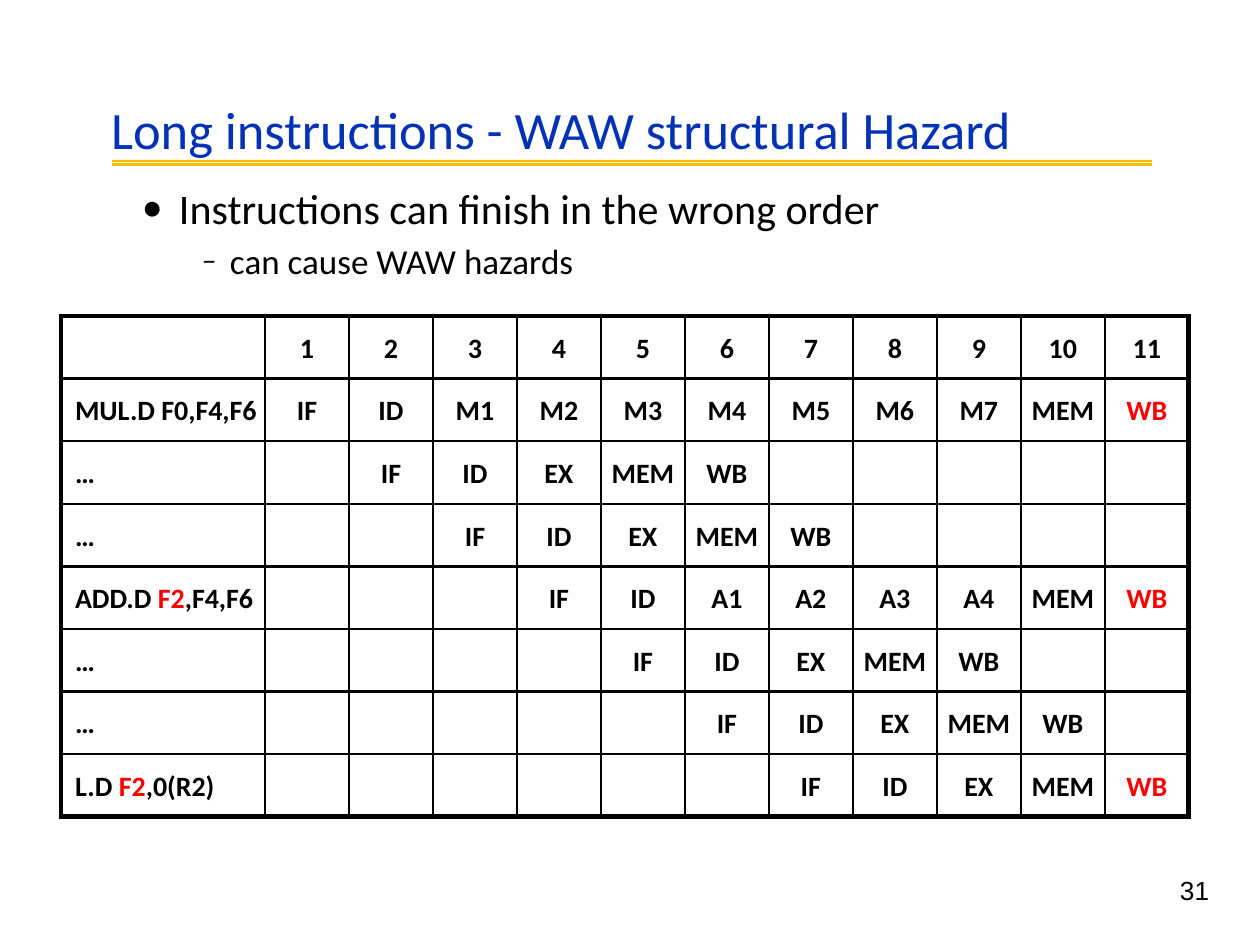
from lxml import etree
from pptx import Presentation
from pptx.dml.color import RGBColor
from pptx.enum import shapes, text
from pptx.oxml import ns
from pptx.util import Pt

PX = 914400 / 126
HUES = {"blue": "0332B7", "gold": "FBBA03", "red": "FF0000", "black": "000000"}


def px(*vals):
    return [round(v * PX) for v in vals]


def style(font, face, size, hue, bold=False):
    font.name, font.size, font.bold = face, Pt(size), bold
    font.color.rgb = RGBColor.from_string(HUES[hue])


deck = Presentation()
deck.slide_width, deck.slide_height = px(1260, 945)
slide = deck.slides.add_slide(deck.slide_layouts[1])
title, body = slide.placeholders

# Double rule under the title
for top, high in ((160, 2), (163, 3)):
    rule = slide.shapes.add_shape(shapes.MSO_SHAPE.RECTANGLE, *px(112, top, 1040, high))
    rule.shadow.inherit = False
    rule.fill.solid()
    rule.fill.fore_color.rgb = RGBColor.from_string(HUES["gold"])
    rule.line.fill.background()

# Page number
page = slide.shapes.add_textbox(*px(1180, 874, 42, 60))

# Frames of all text boxes
for box, spot, inset, anchor in (
    (title, (111, 78, 942, 83), 19, text.MSO_ANCHOR.MIDDLE),
    (body, (141, 170, 858, 112), 12, text.MSO_ANCHOR.TOP),
    (page, (1180, 874, 42, 60), 0, text.MSO_ANCHOR.TOP),
):
    box.left, box.top, box.width, box.height = px(*spot)
    frame = box.text_frame
    frame.word_wrap = True
    frame.auto_size = text.MSO_AUTO_SIZE.NONE
    frame.vertical_anchor = anchor
    frame.margin_left = frame.margin_right = frame.margin_bottom = 0
    frame.margin_top = px(inset)[0]

title.text_frame.text = "Long instructions - WAW structural Hazard"
head = title.text_frame.paragraphs[0]
head.alignment = text.PP_ALIGN.LEFT
style(head.font, "Calibri", 30, "blue")

page.text_frame.text = "31"
style(page.text_frame.paragraphs[0].font, "Arial", 15, "black")

# Bulleted list: text, size, left, hang, mark, mark size, space before
points = (
    ("Instructions can finish in the wrong order", 24, 38, 37, "•", 100, 0),
    ("can cause WAW hazards", 20, 89, 28, "–", 84, 4),
)
body.text_frame.text = "\n".join(point[0] for point in points)
for level, (para, point) in enumerate(zip(body.text_frame.paragraphs, points)):
    _, size, left, hang, mark, scale, gap = point
    para.level = level
    props = para._p.get_or_add_pPr()
    props.set("marL", str(px(left)[0]))
    props.set("indent", str(px(-hang)[0]))
    etree.SubElement(props, ns.qn("a:buSzPct"), val=str(scale * 1000))
    etree.SubElement(props, ns.qn("a:buFont"), typeface="Calibri")
    etree.SubElement(props, ns.qn("a:buChar"), char=mark)
    para.space_before = Pt(gap)
    style(para.font, "Calibri", size, "black")

# Pipeline table: each instruction starts one cycle after the last
SHORT = "IF ID EX MEM WB"
codes = (
    ("MUL.D F0,F4,F6", "IF ID M1 M2 M3 M4 M5 M6 M7 MEM WB"),
    ("…", SHORT),
    ("…", SHORT),
    ("ADD.D F2,F4,F6", "IF ID A1 A2 A3 A4 MEM WB"),
    ("…", SHORT),
    ("…", SHORT),
    ("L.D F2,0(R2)", SHORT),
)
CYCLES = 11
grid = [[""] + [str(n + 1) for n in range(CYCLES)]]
for start, (code, steps) in enumerate(codes):
    row = [code] + [""] * start + steps.split()
    grid.append(row + [""] * (CYCLES + 1 - len(row)))
rows, cols = len(grid), CYCLES + 1

table = slide.shapes.add_table(rows, cols, *px(61, 316, 1128, 501)).table
table.first_row = table.horz_banding = False
for c, col in enumerate(table.columns):
    col.width = px(84 if c else 204)[0]

for r, row in enumerate(grid):
    for c, word in enumerate(row):
        cell = table.cell(r, c)
        cell.margin_left = px(0 if c else 14)[0]
        cell.margin_right = cell.margin_bottom = 0
        cell.margin_top = px(3)[0]
        cell.vertical_anchor = text.MSO_ANCHOR.MIDDLE

        # Thick outer edge, thin inner lines
        props = cell._tc.get_or_add_tcPr()
        edges = {"L": c == 0, "R": c == cols - 1, "T": r == 0, "B": r == rows - 1}
        for side, outer in edges.items():
            line = etree.SubElement(props, ns.qn("a:ln" + side), w=str(Pt(3 if outer else 1.5)))
            fill = etree.SubElement(line, ns.qn("a:solidFill"))
            etree.SubElement(fill, ns.qn("a:srgbClr"), val=HUES["black"])
        cell.fill.background()

        # Conflicting register and write-backs in red
        para = cell.text_frame.paragraphs[0]
        para.alignment = text.PP_ALIGN.CENTER if c else text.PP_ALIGN.LEFT
        style(para.font, "Calibri", 16, "red" if r and c == CYCLES else "black", True)
        before, reg, after = word.partition("F2")
        for part in filter(None, (before, reg, after)):
            run = para.add_run()
            run.text = part
            if part == "F2":
                run.font.color.rgb = RGBColor.from_string(HUES["red"])

deck.save("out.pptx")
